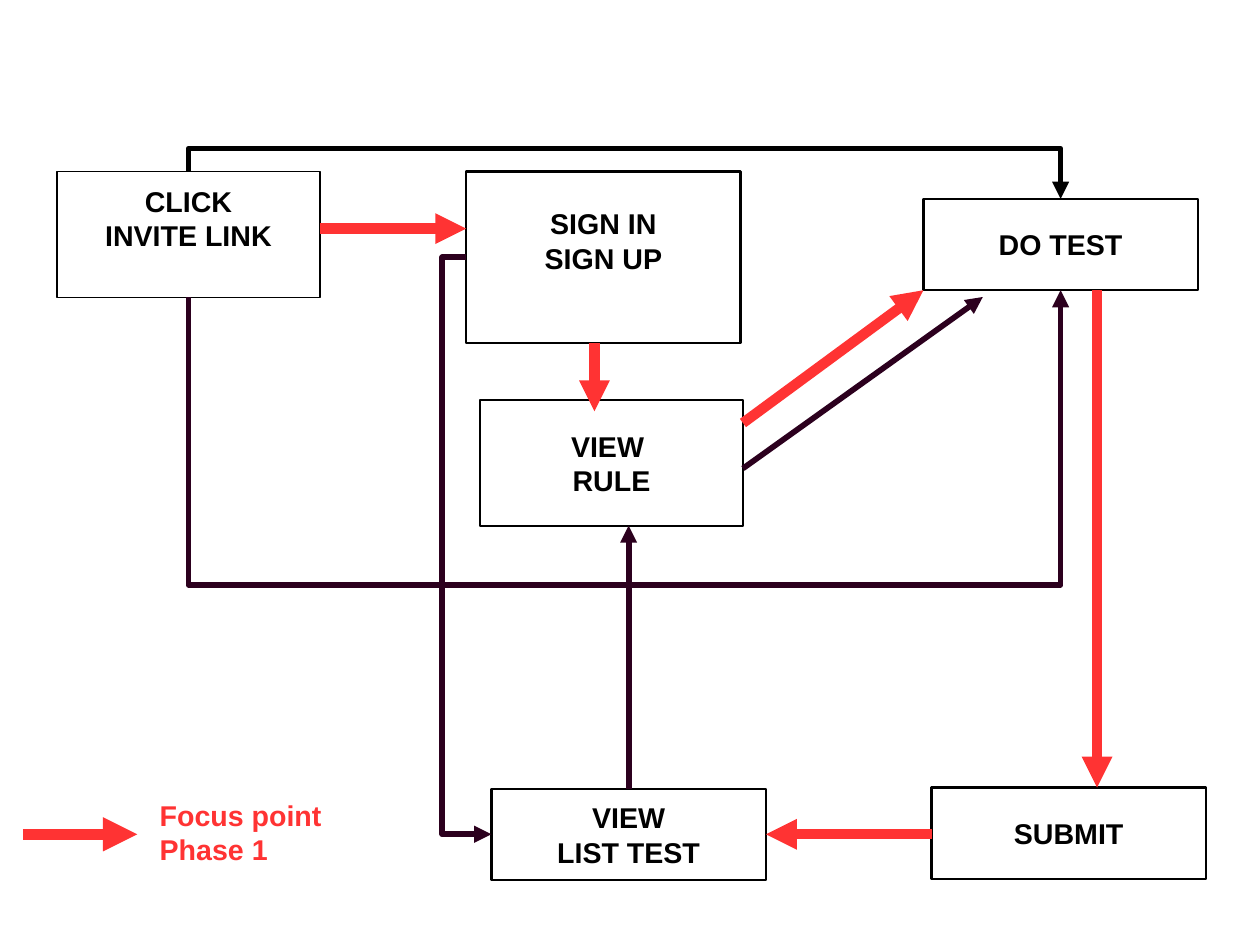
from lxml import etree
from pptx import Presentation
from pptx import util as u
from pptx.dml.color import RGBColor
from pptx.enum import shapes, text
from pptx.oxml import ns

BLACK, WHITE, RED, PLUM = "000000", "FFFFFF", "FF3333", "2C001E"
ELBOW, STRAIGHT = shapes.MSO_CONNECTOR.ELBOW, shapes.MSO_CONNECTOR.STRAIGHT


def paint(target, colour):
    if hasattr(target, "solid"):
        target.solid()
        target = target.fore_color
    target.rgb = RGBColor.from_string(colour)


def write(frame, lines, colour, align, layout):
    for name, value in layout.items():
        setattr(frame, name, value)
    frame.text = "\n".join(lines)
    for paragraph in frame.paragraphs:
        paragraph.alignment = align
        for name, value in {"name": "Arial", "size": u.Pt(18), "bold": True}.items():
            setattr(paragraph.font, name, value)
        paint(paragraph.font.color, colour)


deck = Presentation()
deck.slide_width, deck.slide_height = u.Cm(28), u.Cm(21)
slide = deck.slides.add_slide(deck.slide_layouts[6])

steps = [
    (["CLICK", "INVITE LINK"], 1.27, 3.81, 5.84, 2.8, 1, 0.73),
    (["SIGN IN", "SIGN UP"], 10.36, 3.81, 6.1, 3.81, 1.5, 0.73),
    (["DO TEST"], 20.52, 4.42, 6.1, 2.03, 1.5, 0),
    (["SUBMIT"], 20.7, 17.5, 6.1, 2.03, 1.5, 0),
    (["VIEW", "LIST TEST"], 10.92, 17.53, 6.1, 2.03, 1.5, 0),
    (["VIEW ", "RULE"], 10.67, 8.89, 5.84, 2.8, 1, 0),
]
for label, left, top, width, height, border, lift in steps:
    step = slide.shapes.add_shape(
        shapes.MSO_SHAPE.RECTANGLE, *map(u.Cm, (left, top, width, height)))
    step.shadow.inherit = False
    paint(step.fill, WHITE)
    paint(step.line.fill, BLACK)
    step.line.width = u.Pt(border)
    write(step.text_frame, label, BLACK, text.PP_ALIGN.CENTER, {
        "word_wrap": False, "vertical_anchor": text.MSO_ANCHOR.MIDDLE,
        "margin_left": u.Cm(0.28), "margin_right": u.Cm(0.28),
        "margin_top": u.Cm(0.15), "margin_bottom": u.Cm(0.15 + lift)})

legend = slide.shapes.add_textbox(*map(u.Cm, (3.3, 17.6, 5.59, 1.7)))
write(legend.text_frame, ["Focus point", "Phase 1"], RED, text.PP_ALIGN.LEFT, {
    "word_wrap": True, "margin_left": u.Cm(0.25), "margin_top": u.Cm(0.13)})

arrows = [
    (7.11, 5.08, 10.36, 5.08, RED, 6.5, None, None),
    (16.51, 9.4, 20.52, 6.45, RED, 6.5, None, None),
    (24.38, 6.45, 24.38, 17.5, RED, 6.5, None, None),
    (0.51, 18.54, 3.05, 18.54, RED, 7.2, None, None),
    (20.7, 18.54, 17.02, 18.54, RED, 6.5, None, None),
    (13.21, 7.62, 13.21, 9.14, RED, 6.5, None, None),
    (13.97, 17.53, 13.97, 11.68, PLUM, 3.6, None, None),
    (16.51, 10.41, 21.84, 6.6, PLUM, 3.6, None, None),
    (4.19, 3.81, 23.57, 4.42, BLACK, 3.6, "y", 3.3),
    (4.19, 6.61, 23.57, 6.45, PLUM, 3.6, "y", 13),
    (10.36, 5.72, 10.92, 18.54, PLUM, 3.6, "x", 9.83),
]
for x1, y1, x2, y2, colour, weight, lane_axis, lane in arrows:
    ends, turn = (x1, y1, x2, y2), 0
    if lane_axis == "y":
        turn = 270 if y2 > y1 else 90
        side = 1 if turn == 90 else -1
        cx, cy = (x1 + x2) / 2, (y1 + y2) / 2
        dx, dy = side * (x2 - x1) / 2, side * (y2 - y1) / 2
        ends = (cx - dy, cy + dx, cx + dy, cy - dx)
    arrow = slide.shapes.add_connector(
        ELBOW if lane_axis else STRAIGHT, *map(u.Cm, ends))
    paint(arrow.line.fill, colour)
    arrow.line.width = u.Pt(weight)
    etree.SubElement(arrow.line._get_or_add_ln(), ns.qn("a:tailEnd"), type="triangle")
    props = arrow._element.spPr
    etree.SubElement(props, ns.qn("a:effectLst"))
    if lane_axis:
        begin, finish = (x1, x2) if lane_axis == "x" else (y1, y2)
        bend = round((lane - begin) / (finish - begin) * 100000)
        guides = props.find(ns.qn("a:prstGeom")).find(ns.qn("a:avLst"))
        etree.SubElement(guides, ns.qn("a:gd"), name="adj1", fmla=f"val {bend}")
    if turn:
        props.find(ns.qn("a:xfrm")).set("rot", str(turn * 60000))

deck.save("out.pptx")
